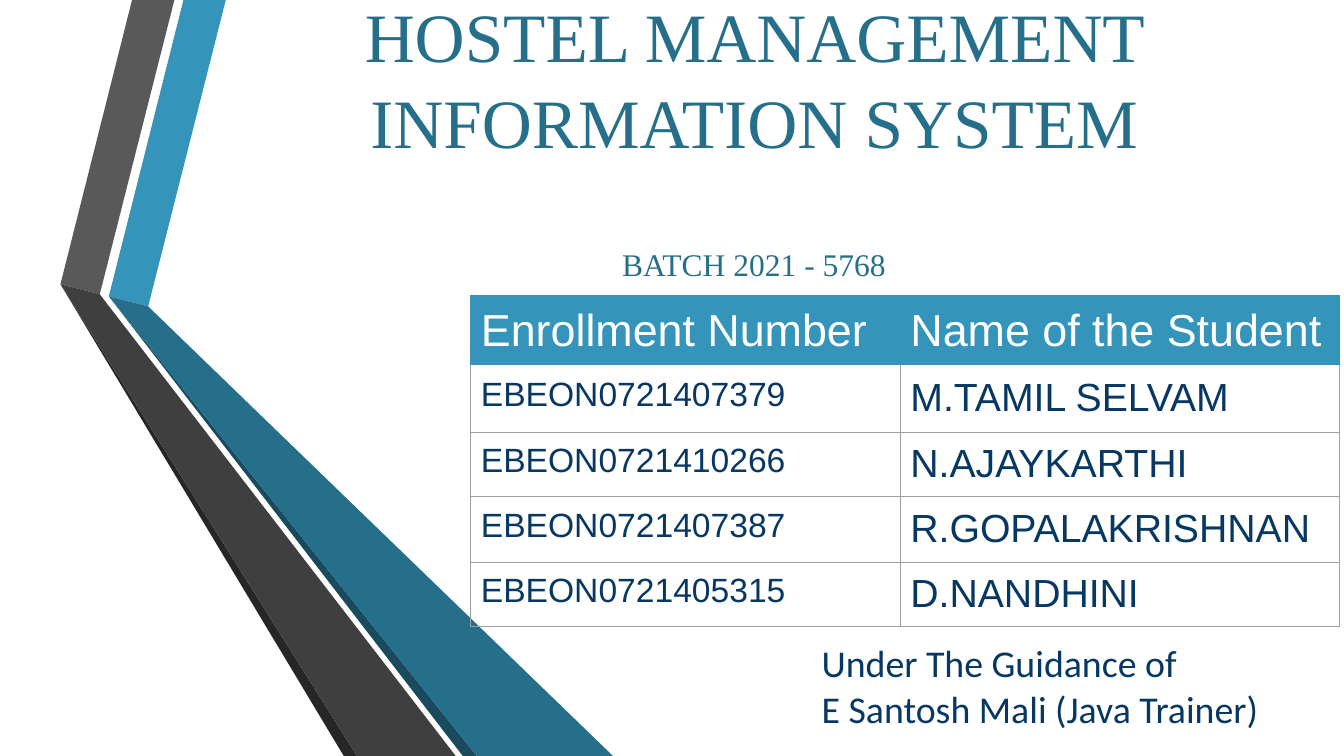
from dataclasses import dataclass

from lxml.etree import SubElement
from pptx import Presentation
from pptx.dml.color import RGBColor
from pptx.enum.text import MSO_ANCHOR, MSO_AUTO_SIZE, PP_ALIGN
from pptx.oxml.ns import qn
from pptx.util import Inches, Pt

# Content
TITLE = "HOSTEL MANAGEMENT INFORMATION SYSTEM"
BATCH = "BATCH 2021 - 5768"
HEADINGS = ("Enrollment Number", "Name of the Student")
STUDENTS = [
    ("EBEON0721407379", "M.TAMIL SELVAM"),
    ("EBEON0721410266", "N.AJAYKARTHI"),
    ("EBEON0721407387", "R.GOPALAKRISHNAN"),
    ("EBEON0721405315", "D.NANDHINI"),
]
GUIDANCE = ("Under The Guidance of", "E Santosh Mali (Java Trainer)")


@dataclass(frozen=True)
class Theme:
    blue: str = "3494BA"
    blue_dark: str = "266F8B"
    blue_deep: str = "194A5D"
    gray: str = "595959"
    gray_dark: str = "3F3F3F"
    gray_deep: str = "262626"
    white: str = "FFFFFF"
    navy: str = "073763"
    border: str = "9E9E9E"
    title_font: str = "Times New Roman"
    table_font: str = "Arial"
    guidance_font: str = "Calibri"
    title_size: float = 49.5
    batch_size: float = 22.5
    heading_size: float = 32
    number_size: float = 24
    name_size: float = 28
    guidance_size: float = 27


THEME = Theme()

# Ribbon geometry in inches: the bend corners are shared by neighbouring faces
BOTTOM = 7.5
GRAY_LEFT, GRAY_RIGHT = (0.6, 2.82), (0.99, 2.92)
BLUE_LEFT, BLUE_RIGHT = (1.08, 2.94), (1.47, 3.04)
RIBBON_FACES = [
    (THEME.blue, [BLUE_LEFT, BLUE_RIGHT, (2.24, 0), (1.82, 0)]),
    (THEME.gray, [GRAY_RIGHT, (1.73, 0), (1.31, 0), GRAY_LEFT]),
    (THEME.gray_deep, [GRAY_LEFT, (3.41, BOTTOM), (3.54, BOTTOM)]),
    (THEME.blue_deep, [BLUE_LEFT, (4.59, BOTTOM), (4.73, BOTTOM)]),
    (THEME.blue_dark, [BLUE_LEFT, (4.73, BOTTOM), (6.08, BOTTOM), BLUE_RIGHT]),
    (THEME.gray_dark, [GRAY_LEFT, (3.54, BOTTOM), (4.52, BOTTOM), GRAY_RIGHT]),
]

# Table geometry in inches
COLUMN_WIDTHS = (4.26, 4.36)
ROW_HEIGHTS = (0.69, 0.66, 0.64, 0.65, 0.64)


def write(paragraph, text, *, font, size, color, align=PP_ALIGN.LEFT):
    paragraph.alignment = align
    run = paragraph.add_run()
    run.text = text
    run.font.name = font
    run.font.size = Pt(size)
    run.font.color.rgb = RGBColor.from_string(color)


def set_insets(target, horizontal, vertical):
    target.margin_left = target.margin_right = Inches(horizontal)
    target.margin_top = target.margin_bottom = Inches(vertical)


def add_face(slide, color, points):
    corners = [(Inches(x), Inches(y)) for x, y in points]
    builder = slide.shapes.build_freeform(*corners[0])
    builder.add_line_segments(corners[1:], close=True)
    shape = builder.convert_to_shape()
    shape.shadow.inherit = False
    shape.fill.solid()
    shape.fill.fore_color.rgb = RGBColor.from_string(color)
    shape.line.fill.background()


def set_borders(cell, color, sides):
    properties = cell._tc.get_or_add_tcPr()
    for index, side in enumerate(sides):
        line = SubElement(properties, qn(f"a:ln{side}"), w=str(Pt(0.75)))
        fill = SubElement(line, qn("a:solidFill"))
        SubElement(fill, qn("a:srgbClr"), val=color)
        properties.insert(index, line)


def add_title(slide):
    title = slide.shapes.title
    title.left, title.top = Inches(2.48), Inches(0.5)
    title.width, title.height = Inches(10), Inches(2.36)
    frame = title.text_frame
    frame.word_wrap = True
    frame.auto_size = MSO_AUTO_SIZE.NONE
    frame.vertical_anchor = MSO_ANCHOR.BOTTOM
    set_insets(frame, 0.1, 0.05)
    style = dict(font=THEME.title_font, color=THEME.blue_dark, align=PP_ALIGN.CENTER)
    heading = frame.paragraphs[0]
    heading.line_spacing = 1.04
    heading.space_after = Pt(59)
    write(heading, TITLE, size=THEME.title_size, **style)
    write(frame.add_paragraph(), BATCH, size=THEME.batch_size, **style)


def add_student_table(slide):
    rows = [HEADINGS, *STUDENTS]
    table = slide.shapes.add_table(
        len(rows), len(HEADINGS), Inches(4.67), Inches(2.93),
        Inches(sum(COLUMN_WIDTHS)), Inches(sum(ROW_HEIGHTS)),
    ).table
    table.first_row = table.horz_banding = False
    for column, width in zip(table.columns, COLUMN_WIDTHS):
        column.width = Inches(width)
    for row_index, (texts, height) in enumerate(zip(rows, ROW_HEIGHTS)):
        table.rows[row_index].height = Inches(height)
        for column_index, text in enumerate(texts):
            cell = table.cell(row_index, column_index)
            set_insets(cell, 0.1, 0.1)
            if row_index == 0:
                cell.fill.solid()
                cell.fill.fore_color.rgb = RGBColor.from_string(THEME.blue)
                set_borders(cell, THEME.blue, "LRTB")
                size, color = THEME.heading_size, THEME.white
            else:
                cell.fill.background()
                set_borders(cell, THEME.border, "LRB" if row_index == 1 else "LRTB")
                size = (THEME.number_size, THEME.name_size)[column_index]
                color = THEME.navy
            write(cell.text_frame.paragraphs[0], text,
                  font=THEME.table_font, size=size, color=color)


def add_guidance(slide):
    box = slide.shapes.add_textbox(Inches(8.05), Inches(6.25), Inches(5.2), Inches(1.11))
    frame = box.text_frame
    frame.word_wrap = True
    set_insets(frame, 0.1, 0.1)
    for index, text in enumerate(GUIDANCE):
        paragraph = frame.add_paragraph() if index else frame.paragraphs[0]
        write(paragraph, text, font=THEME.guidance_font,
              size=THEME.guidance_size, color=THEME.navy)


def main():
    presentation = Presentation()
    presentation.slide_width, presentation.slide_height = Inches(13.33), Inches(7.5)
    slide = presentation.slides.add_slide(presentation.slide_layouts[5])

    # Folded ribbons on the left
    for color, points in RIBBON_FACES:
        add_face(slide, color, points)

    # Title, students and trainer
    add_title(slide)
    add_student_table(slide)
    add_guidance(slide)
    presentation.save("out.pptx")


if __name__ == "__main__":
    main()
